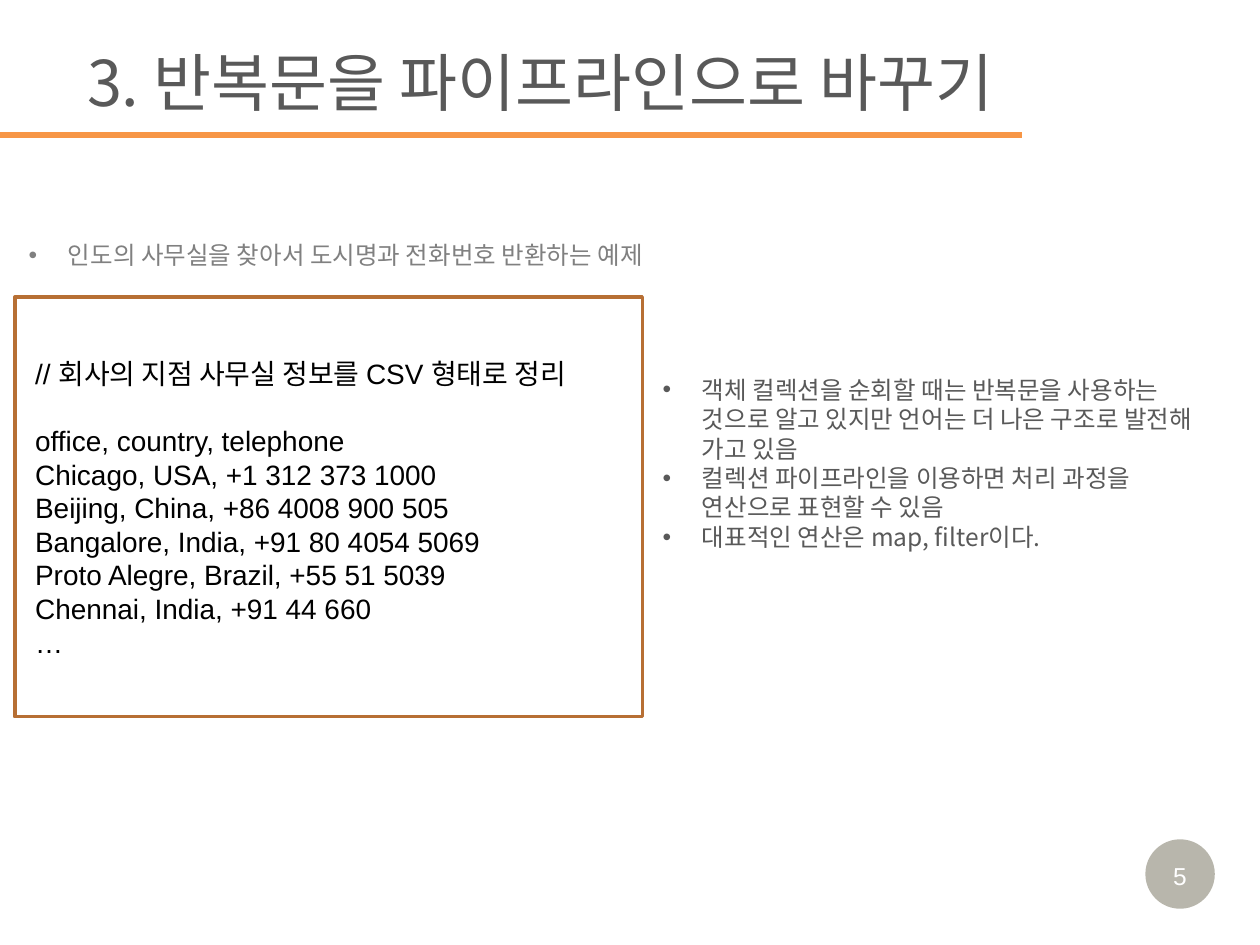
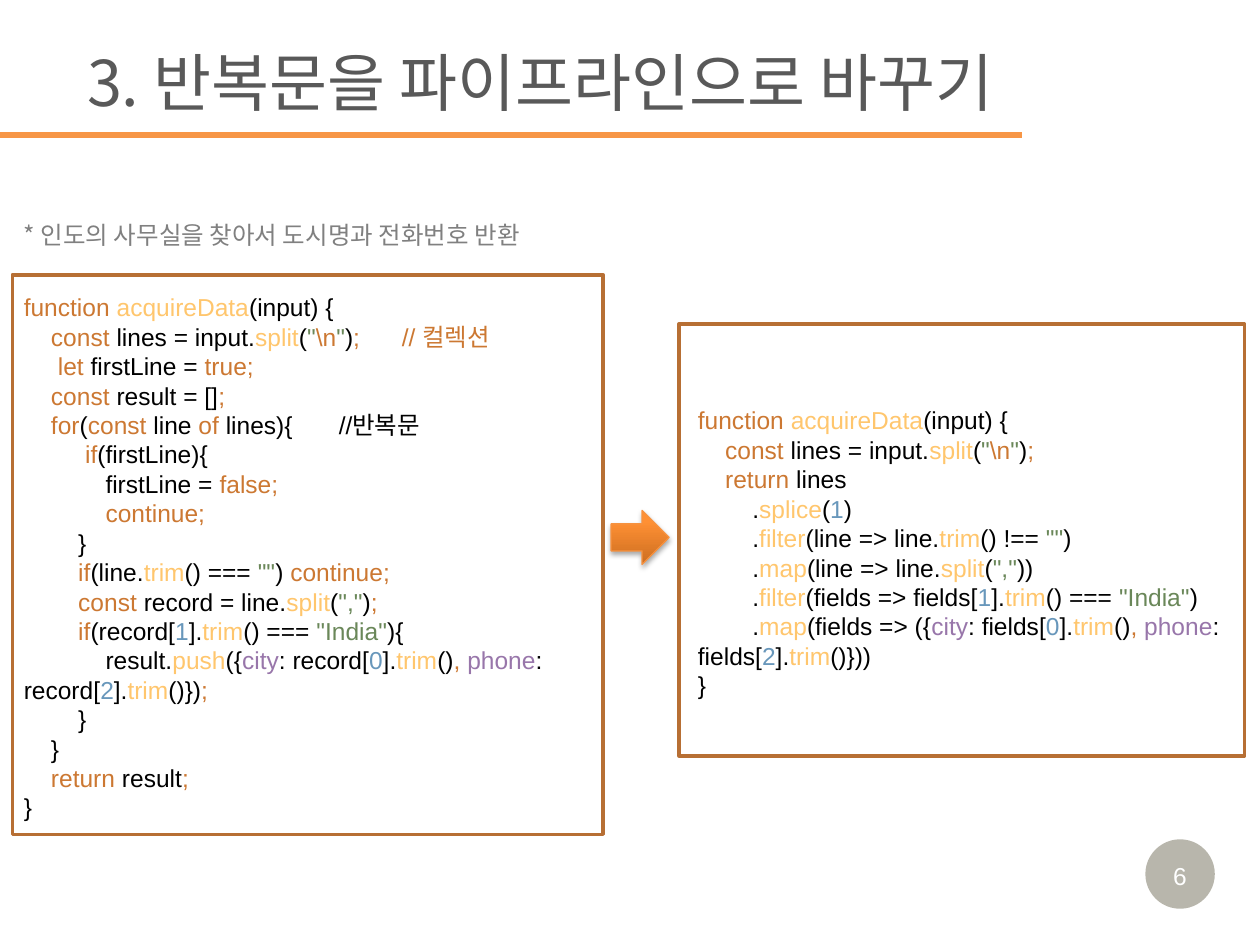
from lxml.etree import SubElement
from pptx import Presentation
from pptx.dml.color import RGBColor
from pptx.enum.shapes import MSO_CONNECTOR, MSO_SHAPE
from pptx.enum.text import MSO_ANCHOR, MSO_AUTO_SIZE, PP_ALIGN
from pptx.oxml.ns import qn
from pptx.util import Cm, Pt

COLORS = {
    "text": "595959",
    "caption": "808080",
    "black": "000000",
    "white": "FFFFFF",
    "rule": "F79646",
    "frame": "B76F34",
    "badge": "4A452A",
    "arrow_dark": "CC6E20",
    "arrow_light": "FF9034",
    "arrow_line": "F69240",
    "keyword": "CC7832",
    "function": "FFC66D",
    "string": "6A8759",
    "number": "6897BB",
    "property": "9876AA",
}
TOKEN_MARKS = {"@": "keyword", "#": "function", "$": "string", "%": "number", "^": "property"}
KOREAN_FONT = "Noto Sans CJK KR"
CODE_FONT = "Arial"
SPACE_WIDTH = 0.278
LINE_HEIGHT = 1.2
BULLET_INDENT = Cm(0.79)
COMMENT_TAB = Cm(8.43)

TITLE = "3. 반복문을 파이프라인으로 바꾸기"
POINTS = [
    "객체 컬렉션을 순회할 때는 반복문을 사용하는 것으로 알고 있지만 언어는 더 나은 구조로 발전해 가고 있음",
    "컬렉션 파이프라인을 이용하면 처리 과정을 연산으로 표현할 수 있음",
    "대표적인 연산은 map, filter이다.",
]
CSV_COMMENT = "// 회사의 지점 사무실 정보를 CSV 형태로 정리"
CSV_ROWS = [
    "office, country, telephone",
    "Chicago, USA, +1 312 373 1000",
    "Beijing, China, +86 4008 900 505",
    "Bangalore, India, +91 80 4054 5069",
    "Proto Alegre, Brazil, +55 51 5039",
    "Chennai, India, +91 44 660",
    "…",
]
LOOP_CODE = r"""@function |#acquireData|(input) {
    @const |lines = input.|#split|(|$"|@\n|$"|)|@;|@<tab>// 컬렉션
     @let |firstLine = |@true;
    @const |result = []|@;
    @for|(|@const |line |@of |lines){|<tab>//반복문
         @if|(firstLine){
            firstLine = |@false;
            @continue;
        }
        @if|(line.|#trim|() === |$""|) |@continue;
        @const |record = line.|#split|(|$","|)|@;
        @if|(record[|%1|].|#trim|() === |$"India"|){
            result.|#push|({|^city|: record[|%0|].|#trim|()|@, |^phone|: record[|%2|].|#trim|()})|@;
        }
    }
    @return |result|@;
}"""
PIPELINE_CODE = r"""@function |#acquireData|(input) {
    @const |lines = input.|#split|(|$"|@\n|$"|)|@;
    @return |lines
        .|#splice|(|%1|)
        .|#filter|(line => line.|#trim|() !== |$""|)
        .|#map|(line => line.|#split|(|$","|))
        .|#filter|(fields => fields[|%1|].|#trim|() === |$"India"|)
        .|#map|(fields => ({|^city|: fields[|%0|].|#trim|()|@, |^phone|: fields[|%2|].|#trim|()}))
}"""


def rgb(name):
    """Return the palette colour with this name."""
    return RGBColor.from_string(COLORS[name])


def add_run(paragraph, text, size, font, color):
    """Add one formatted run, with the Korean font for Korean letters."""
    run = paragraph.add_run()
    run.text = text
    run.font.size = Pt(size)
    run.font.name = font
    run.font.color.rgb = rgb(color)
    SubElement(run.font._element, qn("a:ea"), typeface=KOREAN_FONT)


def add_text_box(slide, box, anchor=MSO_ANCHOR.TOP):
    """Add an empty wrapping text box and return its text frame."""
    frame = slide.shapes.add_textbox(*map(Cm, box)).text_frame
    frame.word_wrap = True
    frame.vertical_anchor = anchor
    return frame


def add_paragraph(frame, size):
    """Return the next free paragraph, with its line height set."""
    first = frame.paragraphs[0]
    paragraph = frame.add_paragraph() if first.runs else first
    paragraph.line_spacing = Pt(size * LINE_HEIGHT)
    return paragraph


def add_bullets(slide, box, texts, color, anchor=MSO_ANCHOR.TOP):
    """Add a bulleted list."""
    frame = add_text_box(slide, box, anchor)
    for text in texts:
        paragraph = add_paragraph(frame, 14)
        properties = paragraph._p.get_or_add_pPr()
        properties.set("marL", str(BULLET_INDENT))
        properties.set("indent", str(-BULLET_INDENT))
        SubElement(properties, qn("a:buFont"), typeface="Arial")
        SubElement(properties, qn("a:buChar"), char="•")
        add_run(paragraph, text, 14, KOREAN_FONT, color)


def add_code(slide, box, code, size=14):
    """Add code whose tokens are split by bars and coloured by their first mark."""
    frame = add_text_box(slide, box)
    for line in code.splitlines():
        content = line.lstrip()
        indent = Pt((len(line) - len(content)) * SPACE_WIDTH * size)
        paragraph = add_paragraph(frame, size)
        properties = paragraph._p.get_or_add_pPr()
        properties.set("marL", "0")
        properties.set("indent", str(indent))
        if "<tab>" in content:
            tabs = SubElement(properties, qn("a:tabLst"))
            SubElement(tabs, qn("a:tab"), pos=str(COMMENT_TAB), algn="l")
        for token in content.replace("<tab>", "\t").split("|"):
            kind = TOKEN_MARKS.get(token[0])
            add_run(paragraph, token[1:] if kind else token, size, CODE_FONT, kind or "black")


def add_csv(slide, box):
    """Add the office list under its comment."""
    frame = add_text_box(slide, box)
    for text in [CSV_COMMENT, *CSV_ROWS]:
        paragraph = add_paragraph(frame, 16)
        if text == CSV_ROWS[0]:
            paragraph.space_before = Pt(16 * LINE_HEIGHT)
        add_run(paragraph, text, 16, CODE_FONT, "black")


def add_frame(slide, box):
    """Add an outlined rectangle around code."""
    shape = slide.shapes.add_shape(MSO_SHAPE.RECTANGLE, *map(Cm, box))
    shape.shadow.inherit = False
    shape.fill.background()
    shape.line.color.rgb = rgb("frame")
    shape.line.width = Pt(2)


def add_arrow(slide, box):
    """Add the shaded arrow between the two versions."""
    shape = slide.shapes.add_shape(MSO_SHAPE.RIGHT_ARROW, *map(Cm, box))
    shape.fill.gradient()
    shape.fill.gradient_angle = 90
    dark, light = shape.fill.gradient_stops
    dark.color.rgb = rgb("arrow_dark")
    light.color.rgb = rgb("arrow_light")
    light.position = 0.8
    shape.line.color.rgb = rgb("arrow_line")
    shape.line.width = Pt(0.75)
    effects = SubElement(shape._element.spPr, qn("a:effectLst"))
    shadow = SubElement(effects, qn("a:outerShdw"), blurRad=str(Pt(3.1)), dist=str(Pt(1.8)),
                        dir="5400000", rotWithShape="0")
    shadow_color = SubElement(shadow, qn("a:srgbClr"), val=COLORS["black"])
    SubElement(shadow_color, qn("a:alpha"), val="35000")


def add_badge(slide, number):
    """Add the round page number."""
    shape = slide.shapes.add_shape(MSO_SHAPE.OVAL, Cm(23.09), Cm(16.92), Cm(1.4), Cm(1.4))
    shape.shadow.inherit = False
    shape.fill.solid()
    shape.fill.fore_color.rgb = rgb("badge")
    fill_color = shape._element.spPr.find(qn("a:solidFill"))[0]
    SubElement(fill_color, qn("a:alpha"), val="39000")
    shape.line.fill.background()
    frame = shape.text_frame
    frame.margin_left = frame.margin_right = frame.margin_bottom = 0
    frame.margin_top = Cm(0.08)
    frame.vertical_anchor = MSO_ANCHOR.MIDDLE
    paragraph = frame.paragraphs[0]
    paragraph.alignment = PP_ALIGN.CENTER
    add_run(paragraph, str(number), 14, CODE_FONT, "white")


def add_rule(slide):
    """Add the line under the title."""
    line = slide.shapes.add_connector(MSO_CONNECTOR.STRAIGHT, 0, Cm(2.72), Cm(20.6), Cm(2.72))
    line.line.color.rgb = rgb("rule")
    line.line.width = Pt(3)
    SubElement(line._element.spPr, qn("a:effectLst"))


def add_titled_slide(presentation, number):
    """Add a slide with the shared title, rule and page number."""
    slide = presentation.slides.add_slide(presentation.slide_layouts[5])
    title = slide.shapes.title
    title.left, title.top, title.width, title.height = map(Cm, (1.5, 0.74, 23.9, 1.8))
    frame = title.text_frame
    frame.auto_size = MSO_AUTO_SIZE.NONE
    frame.vertical_anchor = MSO_ANCHOR.MIDDLE
    frame.paragraphs[0].alignment = PP_ALIGN.LEFT
    add_run(frame.paragraphs[0], TITLE, 36, KOREAN_FONT, "text")
    add_rule(slide)
    add_badge(slide, number)
    return slide


def add_example_slide(presentation):
    """Add the slide with the office data."""
    slide = add_titled_slide(presentation, 5)
    add_bullets(slide, (13.11, 6.68, 11.73, 5.31), POINTS, "text", MSO_ANCHOR.MIDDLE)
    add_frame(slide, (0.3, 5.99, 12.65, 8.46))
    add_bullets(slide, (0.33, 4.72, 14.07, 0.86),
                ["인도의 사무실을 찾아서 도시명과 전화번호 반환하는 예제"], "caption")
    add_csv(slide, (0.46, 7.06, 12.5, 7.09))


def add_comparison_slide(presentation):
    """Add the slide that turns the loop into a pipeline."""
    slide = add_titled_slide(presentation, 6)
    add_frame(slide, (0.25, 5.54, 11.91, 11.28))
    add_arrow(slide, (12.32, 10.29, 1.17, 1.09))
    add_frame(slide, (13.69, 6.53, 11.4, 8.71))
    add_code(slide, (0.23, 5.77, 11.91, 11.02), LOOP_CODE)
    add_code(slide, (13.82, 8.05, 11.18, 5.66), PIPELINE_CODE)
    caption = add_text_box(slide, (0.23, 4.32, 12.62, 0.86))
    add_run(add_paragraph(caption, 14), "* 인도의 사무실을 찾아서 도시명과 전화번호 반환",
            14, KOREAN_FONT, "caption")


def main():
    """Build and save the presentation."""
    presentation = Presentation()
    presentation.slide_width = Cm(25.4)
    presentation.slide_height = Cm(19.05)
    add_example_slide(presentation)
    add_comparison_slide(presentation)
    presentation.save("out.pptx")


if __name__ == "__main__":
    main()
